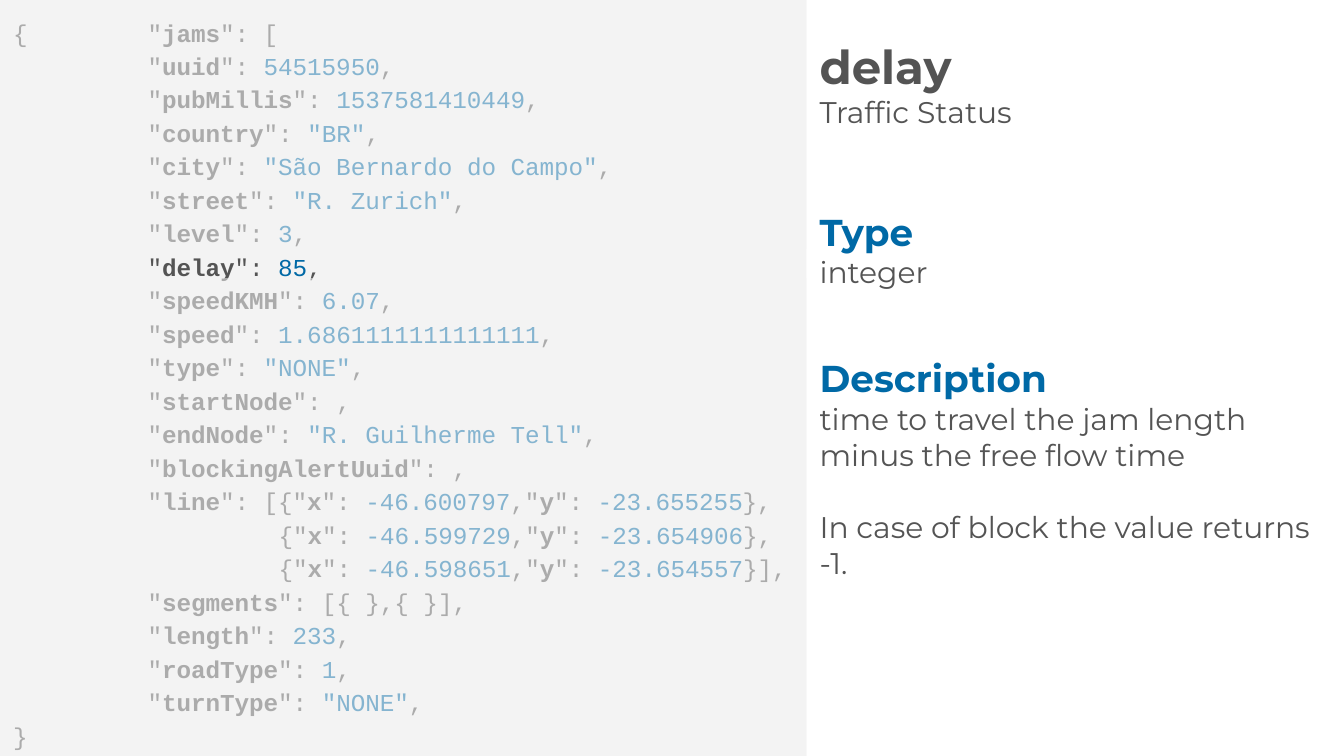
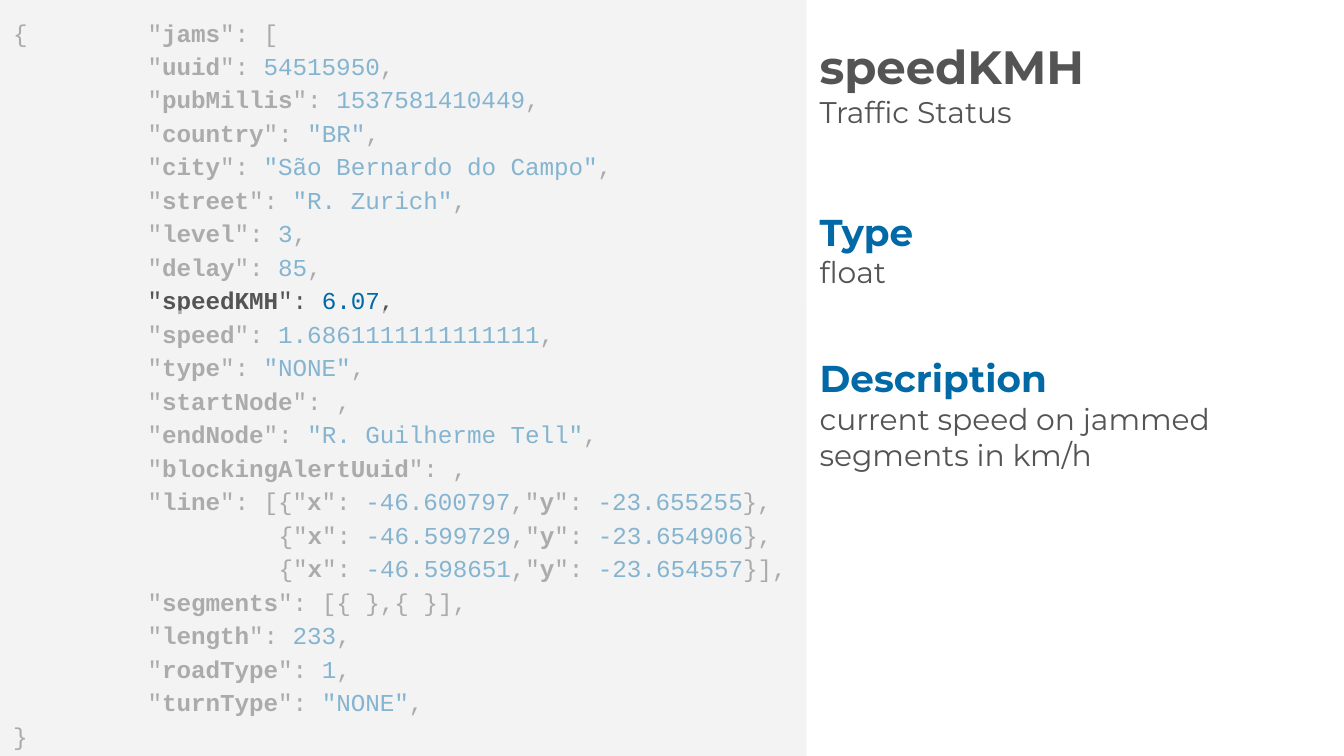
from lxml import etree
from pptx import Presentation
from pptx.dml.color import RGBColor
from pptx.enum.shapes import MSO_SHAPE
from pptx.enum.text import MSO_ANCHOR, PP_ALIGN
from pptx.oxml.ns import qn
from pptx.util import Inches, Pt

RECTANGLE = MSO_SHAPE.RECTANGLE
TOP, MIDDLE = MSO_ANCHOR.TOP, MSO_ANCHOR.MIDDLE
LEFT = PP_ALIGN.LEFT

# Content
FIELDS_BEFORE_LINE = [
    ("uuid", "54515950"),
    ("pubMillis", "1537581410449"),
    ("country", '"BR"'),
    ("city", '"São Bernardo do Campo"'),
    ("street", '"R. Zurich"'),
    ("level", "3"),
    ("delay", "85"),
    ("speedKMH", "6.07"),
    ("speed", "1.6861111111111111"),
    ("type", '"NONE"'),
    ("startNode", ""),
    ("endNode", '"R. Guilherme Tell"'),
    ("blockingAlertUuid", ""),
]
LINE_POINTS = [
    ("-46.600797", "-23.655255"),
    ("-46.599729", "-23.654906"),
    ("-46.598651", "-23.654557"),
]
FIELDS_AFTER_LINE = [("length", "233"), ("roadType", "1"), ("turnType", '"NONE"')]

SLIDES = [
    {
        "field": "delay",
        "type": "integer",
        "description": [
            "time to travel the jam length minus the free flow time",
            "In case of block the value returns -1.",
        ],
    },
    {
        "field": "speedKMH",
        "type": "float",
        "description": ["current speed on jammed segments in km/h"],
    },
]
GROUP = "Traffic Status"

# Shared style
COLORS = {"panel": "F3F3F3", "text": "545454", "accent": "0069A6"}
STYLES = {
    "mark": {"name": "Courier New", "size": Pt(13), "bold": False, "color": "text"},
    "key": {"name": "Courier New", "size": Pt(13), "bold": True, "color": "text"},
    "value": {"name": "Courier New", "size": Pt(13), "bold": False, "color": "accent"},
    "title": {"name": "Montserrat", "size": Pt(25), "bold": True, "color": "text"},
    "heading": {"name": "Montserrat", "size": Pt(20), "bold": True, "color": "accent"},
    "body": {"name": "Montserrat", "size": Pt(16), "bold": False, "color": "text"},
}
SLIDE_WIDTH = 10
SLIDE_HEIGHT = SLIDE_WIDTH * 9 / 16
PANEL_WIDTH = 6
MARGIN = 0.1
CODE_INDENT = 1
POINT_INDENT = CODE_INDENT + 9 * 0.6 * 13 / 72  # nine monospaced characters
LINE_SPACING = 1.15
PARAGRAPH_GAP = Pt(19.5)

# Clear window between the two veils
FIRST_WINDOW_BOTTOM = 0.39
ROW_STEP = 0.24
WINDOW_HEIGHT = 0.22
VEIL_OPACITY = 55


def field_runs(key, value):
    return [('"', "mark"), (key, "key"), ('": ', "mark"), (value, "value"), (",", "mark")]


def point_runs(x, y, ending):
    return [
        ('{"', "mark"), ("x", "key"), ('": ', "mark"), (x, "value"),
        (',"', "mark"), ("y", "key"), ('": ', "mark"), (y, "value"), (ending, "mark"),
    ]


def code_lines():
    """Return the listing as (indent, runs) pairs."""
    lines = [(0, [('{\t"', "mark"), ("jams", "key"), ('": [', "mark")])]
    lines += [(CODE_INDENT, field_runs(*field)) for field in FIELDS_BEFORE_LINE]
    for number, point in enumerate(LINE_POINTS):
        last = number == len(LINE_POINTS) - 1
        runs = point_runs(*point, "}]," if last else "},")
        if number == 0:
            opening = [('"', "mark"), ("line", "key"), ('": [', "mark")]
            lines.append((CODE_INDENT, opening + runs))
        else:
            lines.append((POINT_INDENT, runs))
    segments = [('"', "mark"), ("segments", "key"), ('": [{ },{ }],', "mark")]
    lines.append((CODE_INDENT, segments))
    lines += [(CODE_INDENT, field_runs(*field)) for field in FIELDS_AFTER_LINE]
    lines.append((0, [("}", "mark")]))
    return lines


def add_runs(paragraph, runs):
    paragraph.alignment = LEFT
    for text, style_name in runs:
        if not text:
            continue
        run = paragraph.add_run()
        run.text = text
        for attribute, value in STYLES[style_name].items():
            if attribute == "color":
                run.font.color.rgb = RGBColor.from_string(COLORS[value])
            else:
                setattr(run.font, attribute, value)


def prepare_frame(shape, anchor=TOP):
    frame = shape.text_frame
    frame.word_wrap = True
    frame.vertical_anchor = anchor
    for side in ("left", "top", "right", "bottom"):
        setattr(frame, "margin_" + side, Inches(MARGIN))
    return frame


def next_paragraph(frame, index):
    return frame.paragraphs[0] if index == 0 else frame.add_paragraph()


def add_panel(slide, top, opacity=100):
    panel = slide.shapes.add_shape(
        RECTANGLE, 0, Inches(top), Inches(PANEL_WIDTH), Inches(SLIDE_HEIGHT))
    panel.shadow.inherit = False
    panel.fill.solid()
    panel.fill.fore_color.rgb = RGBColor.from_string(COLORS["panel"])
    panel.line.fill.background()
    if opacity < 100:
        color = panel.fill._xPr.find(qn("a:solidFill")).find(qn("a:srgbClr"))
        etree.SubElement(color, qn("a:alpha")).set("val", str(opacity * 1000))
    return panel


def add_code(slide):
    frame = prepare_frame(add_panel(slide, 0))
    for index, (indent, runs) in enumerate(code_lines()):
        paragraph = next_paragraph(frame, index)
        paragraph.line_spacing = LINE_SPACING
        add_runs(paragraph, runs)
        properties = paragraph._p.get_or_add_pPr()
        properties.set("marL", str(Inches(indent)))
        properties.set("indent", "0")
        properties.set("defTabSz", str(Inches(CODE_INDENT)))


def add_text(slide, top, width, height, paragraphs, anchor=TOP, gap=0):
    box = slide.shapes.add_textbox(
        Inches(PANEL_WIDTH), Inches(top), Inches(width), Inches(height))
    frame = prepare_frame(box, anchor)
    for index, run in enumerate(paragraphs):
        paragraph = next_paragraph(frame, index)
        add_runs(paragraph, [run])
        if gap and index:
            paragraph.space_before = gap


def add_veils(slide, field):
    keys = [key for key, value in FIELDS_BEFORE_LINE]
    row = keys.index(field) + 1
    window_bottom = FIRST_WINDOW_BOTTOM + ROW_STEP * row
    for top in (window_bottom, window_bottom - WINDOW_HEIGHT - SLIDE_HEIGHT):
        add_panel(slide, top, VEIL_OPACITY)


def build_slide(presentation, content):
    slide = presentation.slides.add_slide(presentation.slide_layouts[6])
    add_code(slide)
    add_text(slide, 0.16, 4, 0.92,
             [(content["field"], "title"), (GROUP, "body")], anchor=MIDDLE)
    add_text(slide, 1.46, 1.93, 0.5, [("Type", "heading")])
    add_text(slide, 1.79, 3.6, 0.87, [(content["type"], "body")])
    add_text(slide, 2.88, 4, 2.63,
             [(text, "body") for text in content["description"]], gap=PARAGRAPH_GAP)
    add_text(slide, 2.54, 1.93, 0.5, [("Description", "heading")])
    add_veils(slide, content["field"])


def main():
    presentation = Presentation()
    presentation.slide_width = Inches(SLIDE_WIDTH)
    presentation.slide_height = Inches(SLIDE_HEIGHT)
    for content in SLIDES:
        build_slide(presentation, content)
    presentation.save("out.pptx")


if __name__ == "__main__":
    main()
